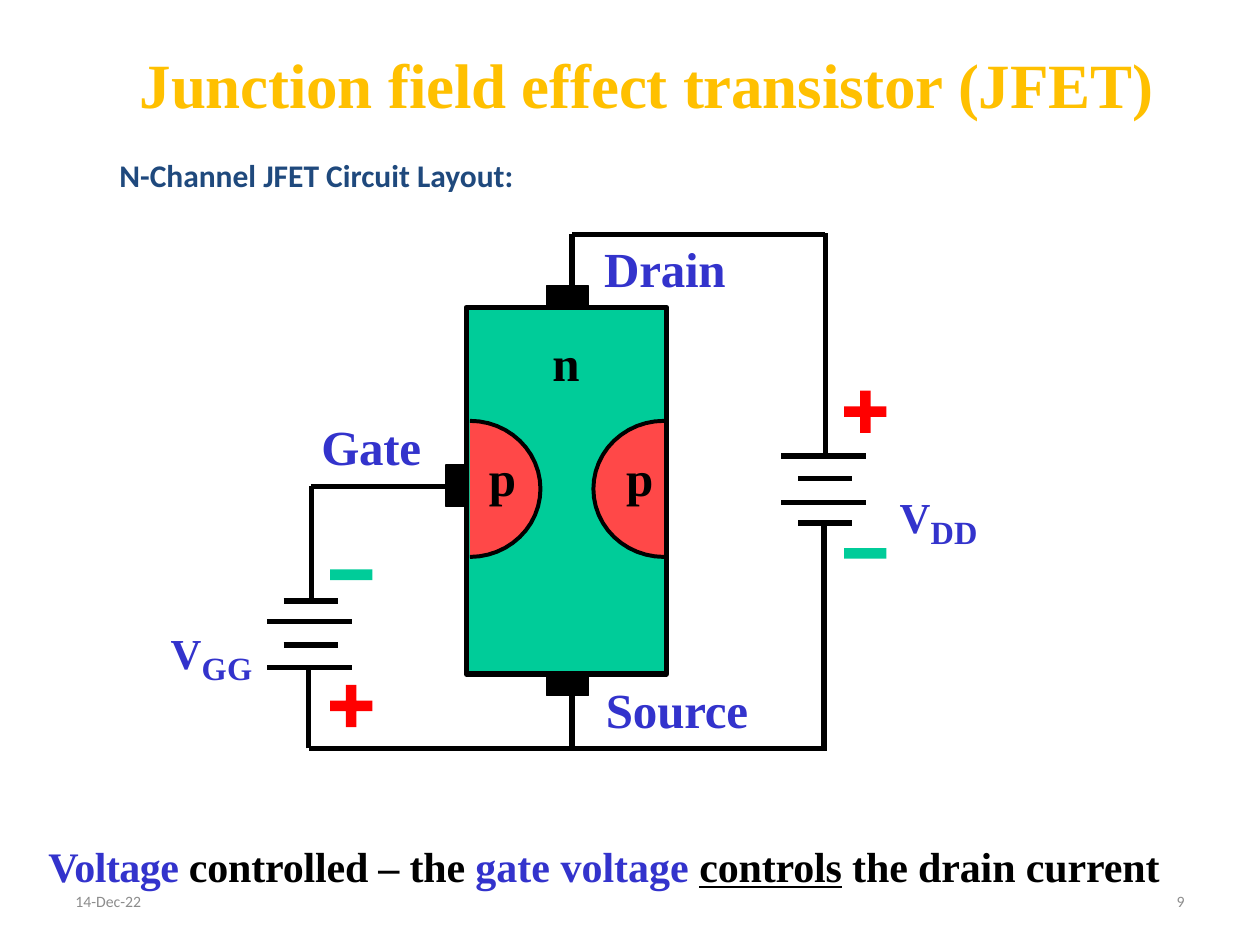
import math

from lxml import etree
from pptx import Presentation
from pptx import util as u
from pptx.dml.color import RGBColor
from pptx.enum import shapes, text
from pptx.oxml.ns import qn

BLACK = RGBColor(0x00, 0x00, 0x00)
GOLD = RGBColor(0xFF, 0xC0, 0x00)
INDIGO = RGBColor(0x33, 0x33, 0xCC)
NAVY = RGBColor(0x1F, 0x49, 0x7D)
GRAY = RGBColor(0x8C, 0x8C, 0x8C)
GREEN = RGBColor(0x00, 0xCC, 0x99)
CORAL = RGBColor(0xFF, 0x48, 0x48)
RED = RGBColor(0xFF, 0x00, 0x00)
SERIF, SANS = "Times New Roman", "Calibri"
COLUMNS, ROWS = 100, 75
MIDDLE = text.MSO_ANCHOR.MIDDLE


class CircuitSlide:
    """Draws circuit elements on a slide, measured in grid columns and rows."""

    def __init__(self, presentation):
        self.slide = presentation.slides.add_slide(presentation.slide_layouts[5])
        self.column = presentation.slide_width / COLUMNS
        self.row = presentation.slide_height / ROWS

    def x(self, columns):
        return u.Emu(round(columns * self.column))

    def y(self, rows):
        return u.Emu(round(rows * self.row))

    def box(self, left, top, width, height):
        return self.x(left), self.y(top), self.x(width), self.y(height)

    def format_run(self, run, size, color, spacing=0, font=SERIF, bold=True):
        run.font.size, run.font.name, run.font.bold = u.Pt(size), font, bold
        run.font.color.rgb = color
        if spacing:
            run.font._element.set("spc", str(spacing))

    def tighten(self, frame):
        frame.margin_right = frame.margin_bottom = 0
        frame.margin_left = u.Inches(0.01)
        frame.margin_top = u.Inches(0.015)
        frame.paragraphs[0].space_before = u.Pt(0.9)

    def title(self, wording, *place):
        title = self.slide.shapes.title
        title.left, title.top, title.width, title.height = self.box(*place)
        frame = title.text_frame
        frame.text = wording
        frame.vertical_anchor = MIDDLE
        self.tighten(frame)
        frame.paragraphs[0].alignment = text.PP_ALIGN.CENTER
        self.format_run(frame.paragraphs[0].runs[0], 36, GOLD, -10)

    def label(self, place, parts, tight=True, align=text.PP_ALIGN.LEFT, anchor=None, **style):
        frame = self.slide.shapes.add_textbox(*self.box(*place)).text_frame
        frame.word_wrap = True
        frame.vertical_anchor = anchor
        if tight:
            self.tighten(frame)
        paragraph = frame.paragraphs[0]
        paragraph.alignment = align
        for wording, *look in parts:
            run = paragraph.add_run()
            run.text = wording
            self.format_run(run, *look, **style)
        return paragraph

    def voltage(self, left, top, subscript):
        parts = [("V", 42, INDIGO, 10), (subscript, 18.5, INDIGO, 10)]
        paragraph = self.label((left, top, 7.5, 4.9), parts)
        paragraph.runs[0].font._element.set("baseline", "14000")

    def block(self, place, fill, line=None, kind=shapes.MSO_SHAPE.RECTANGLE):
        shape = self.slide.shapes.add_shape(kind, *self.box(*place))
        self.paint(shape, fill, line)
        return shape

    def paint(self, shape, fill, line):
        shape.shadow.inherit = False
        if fill is None:
            shape.fill.background()
        else:
            shape.fill.solid()
            shape.fill.fore_color.rgb = fill
        if line is None:
            shape.line.fill.background()
        else:
            shape.line.color.rgb = BLACK
            shape.line.width = u.Pt(line)

    def plus(self, left, top):
        shape = self.block((left, top, 3.35, 3.35), RED, kind=shapes.MSO_SHAPE.CROSS)
        shape.adjustments[0] = 0.375

    def minus(self, left, top):
        self.block((left, top, 3.35, 0.85), GREEN)

    def outline(self, paths, fill, line):
        first, *others = [[(self.x(x), self.y(y)) for x, y in path] for path in paths]
        builder = self.slide.shapes.build_freeform(*first[0])
        builder.add_line_segments(first[1:], close=False)
        for path in others:
            builder.move_to(*path[0])
            builder.add_line_segments(path[1:], close=False)
        self.paint(builder.convert_to_shape(), fill, line)

    def half_ellipse(self, edge, middle, reach, half_height, steps=24):
        angles = [math.pi * (step / steps - 0.5) for step in range(steps + 1)]
        points = [(edge + reach * math.cos(angle), middle + half_height * math.sin(angle))
                  for angle in angles]
        self.outline([points], CORAL, 2.28)

    def wiring(self, *paths):
        self.outline(paths, None, 3)

    def plate(self, center, row, half):
        connector = self.slide.shapes.add_connector(
            shapes.MSO_CONNECTOR.STRAIGHT, self.x(center - half), self.y(row),
            self.x(center + half), self.y(row))
        connector.line.color.rgb = BLACK
        connector.line.width = u.Pt(3)
        etree.SubElement(connector._element.spPr, qn("a:effectLst"))


def main():
    presentation = Presentation()
    presentation.slide_width, presentation.slide_height = u.Inches(10), u.Inches(7.5)
    circuit = CircuitSlide(presentation)
    circuit.title("Junction field effect transistor (JFET)", 2.5, 3.45, 97.5, 6.2)

    circuit.block((37, 24.4, 15.9, 29.1), GREEN, 3)
    for edge, reach in ((37.3, 5.6), (52.7, -5.6)):
        circuit.half_ellipse(edge, 38.8, reach, 5.4)
    for top in (22.7, 53.5):
        circuit.block((43.4, top, 3.3, 1.7), BLACK, 0.72)
    circuit.block((35.4, 36.9, 1.7, 3.3), BLACK, 0.72)

    circuit.wiring([(65.4, 41.5), (65.4, 59.6)], [(21.2, 53), (27.9, 53)],
                   [(24.5, 59.4), (24.5, 53)], [(24.5, 59.4), (65.4, 59.4)],
                   [(45.4, 54.4), (45.4, 59.4)], [(22.5, 47.7), (26.8, 47.7)],
                   [(24.7, 47.8), (24.7, 38.6)], [(35.5, 38.6), (24.7, 38.6)])
    circuit.wiring([(65.5, 18.5), (65.5, 36.3)], [(45.4, 18.6), (65.5, 18.6)],
                   [(45.4, 22.7), (45.4, 18.6)])
    for center, row, half in ((65.35, 36.2, 3.35), (65.5, 38, 2.15), (65.35, 39.9, 3.35),
                              (65.5, 41.5, 2.15), (24.55, 49.3, 3.35), (24.65, 51.2, 2.15)):
        circuit.plate(center, row, half)

    circuit.plus(67, 31)
    circuit.minus(67, 43.5)
    circuit.plus(26.2, 54.35)
    circuit.minus(26.2, 45.2)

    for wording, left, top, width, color in (
            ("p", 49.6, 35.4, 2.4, BLACK), ("p", 38.7, 35.4, 2.4, BLACK),
            ("n", 43.75, 26.2, 2.6, BLACK), ("Gate", 25.4, 32.9, 8.3, INDIGO),
            ("Drain", 47.85, 18.75, 10.5, INDIGO), ("Source", 48, 53.75, 13, INDIGO)):
        circuit.label((left, top, width, 4.9), [(wording, 28, color, -10)])
    circuit.voltage(71.3, 37.2, "DD")
    circuit.voltage(13.45, 48, "GG")

    summary = circuit.label((3.75, 66.55, 91, 4), [
        (wording, 24, color, spacing) for wording, color, spacing in (
            ("Voltage ", INDIGO, -30), ("controlled – the ", BLACK, -10),
            ("gate voltage ", INDIGO, 0), ("controls", BLACK, -10),
            (" the drain current", BLACK, -8))])
    summary.runs[3].font.underline = True

    circuit.label((8.5, 11.9, 33.6, 4), [("N-Channel JFET Circuit Layout:", 18, NAVY)],
                  tight=False, font=SANS)
    for wording, left, align in (("14-Dec-22", 5, text.PP_ALIGN.LEFT),
                                 ("9", 71.7, text.PP_ALIGN.RIGHT)):
        circuit.label((left, 69.5, 23.3, 4), [(wording, 9, GRAY)], tight=False,
                      align=align, anchor=MIDDLE, font=SANS, bold=False)
    presentation.save("out.pptx")


if __name__ == "__main__":
    main()
